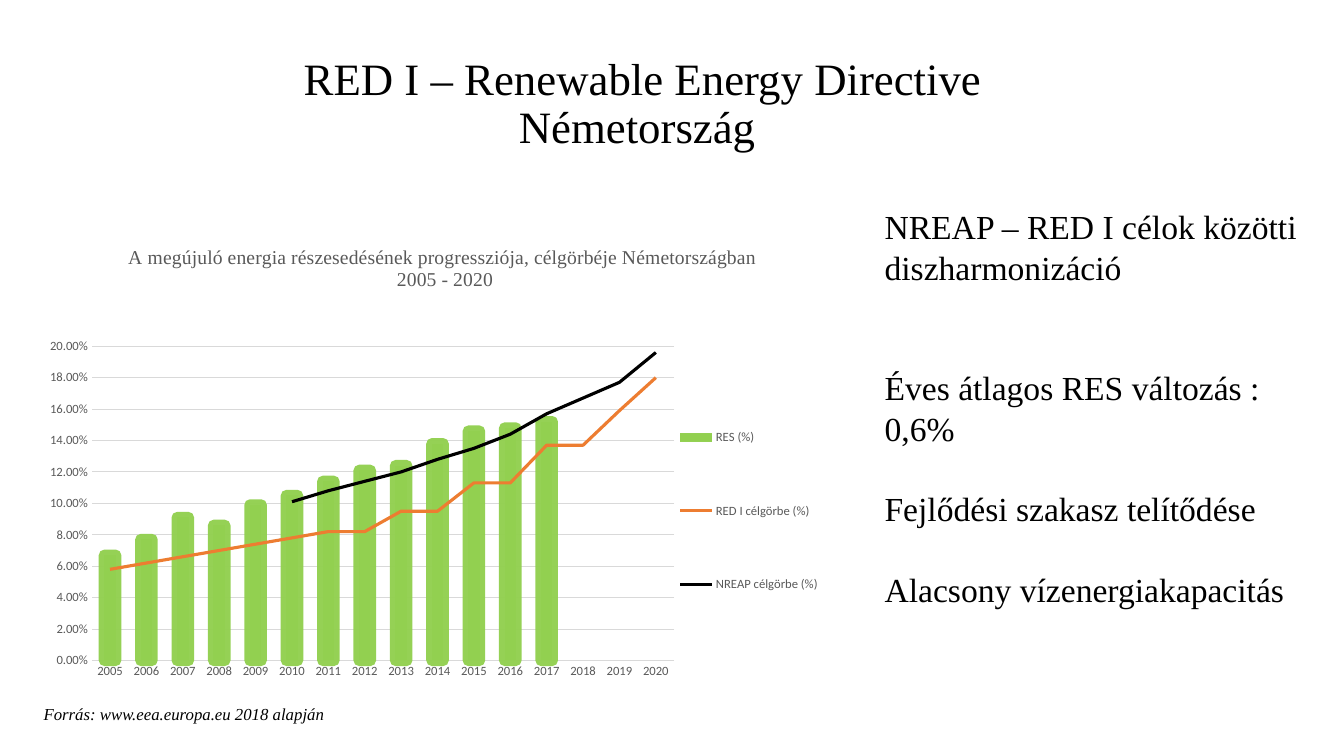
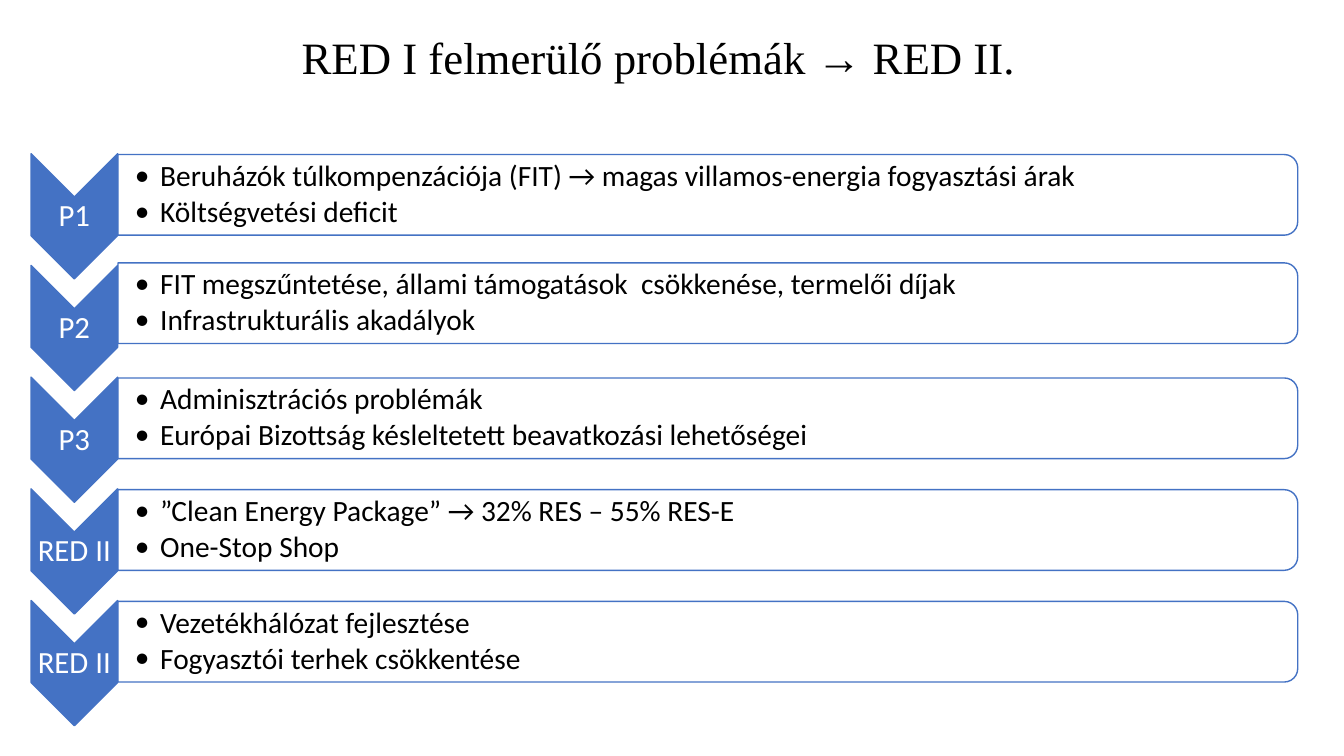
from dataclasses import dataclass

from lxml.etree import SubElement
from pptx import Presentation
from pptx.chart.data import CategoryChartData
from pptx.dml.color import RGBColor
from pptx.enum.chart import XL_CHART_TYPE, XL_LEGEND_POSITION, XL_MARKER_STYLE, XL_TICK_MARK
from pptx.enum.shapes import MSO_SHAPE
from pptx.enum.text import MSO_ANCHOR, MSO_AUTO_SIZE, PP_ALIGN
from pptx.oxml.ns import qn
from pptx.util import Inches, Pt


@dataclass(frozen=True)
class Theme:
    """Colours, fonts and type sizes of the deck."""
    ink: str = "000000"
    white: str = "FFFFFF"
    blue: str = "4472C4"
    green: str = "92D050"
    orange: str = "ED7D31"
    grey: str = "595959"
    rule: str = "D9D9D9"
    serif: str = "Times New Roman"
    sans: str = "Calibri"
    head: int = 32
    body: int = 24
    badge: int = 22
    item: int = 21
    label: int = 14
    note: int = 12
    tick: int = 9


class Deck:
    """Draws elements on the current slide, on a grid of 160 by 90 cells."""

    def __init__(self, theme):
        """Open an empty wide deck."""
        self.theme = theme
        self.show = Presentation()
        self.show.slide_width, self.show.slide_height = Inches(13.33), Inches(7.5)
        self.slide = None

    def grid(self, box):
        """Turn grid cells into lengths."""
        return [Inches(cell / 12) for cell in box]

    def font(self, font, size, color, name):
        """Set size, colour and typeface of a font."""
        font.size, font.name, font.bold = Pt(size), name, False
        font.color.rgb = RGBColor.from_string(color)

    def paint(self, shape, color, alpha=100):
        """Fill a shape, with opacity in percent."""
        shape.fill.solid()
        shape.fill.fore_color.rgb = RGBColor.from_string(color)
        if alpha < 100:
            self.fade(shape.element.xpath("./p:spPr/a:solidFill/a:srgbClr")[0], alpha)

    def fade(self, node, alpha):
        """Give a colour node its opacity."""
        SubElement(node, qn("a:alpha")).set("val", str(alpha * 1000))

    def stroke(self, line, color, width):
        """Set colour and width of a line."""
        line.color.rgb = RGBColor.from_string(color)
        line.width = Pt(width)

    def page(self, title, box, anchor):
        """Start a slide with its title."""
        self.slide = self.show.slides.add_slide(self.show.slide_layouts[5])
        head = self.slide.shapes.title
        head.left, head.top, head.width, head.height = self.grid(box)
        self.paint(head, self.theme.white, 85)
        frame = head.text_frame
        frame.text = title
        frame.auto_size = MSO_AUTO_SIZE.NONE
        frame.vertical_anchor = anchor
        para = frame.paragraphs[0]
        para.alignment, para.line_spacing = PP_ALIGN.CENTER, 0.9
        for run in para.runs:
            self.font(run.font, self.theme.head, self.theme.ink, self.theme.serif)

    def text(self, box, lines, size, color, name, inset=None, anchor=MSO_ANCHOR.TOP, back=None):
        """Add a text box, on a white ground of the given opacity, and return its frame."""
        shape = self.slide.shapes.add_textbox(*self.grid(box))
        if back:
            self.paint(shape, self.theme.white, back)
        frame = shape.text_frame
        frame.word_wrap = True
        frame.vertical_anchor = anchor
        if inset:
            frame.margin_left, frame.margin_top = Inches(inset[0]), Inches(inset[1])
            frame.margin_right = frame.margin_bottom = Inches(inset[1])
        frame.text = "\n".join(lines)
        for para in frame.paragraphs:
            for run in para.runs:
                self.font(run.font, size, color, name)
        return frame

    def notes(self, box, items):
        """Add remarks, each with a gap in lines before it."""
        theme = self.theme
        frame = self.text(box, [line for line, _ in items], theme.body, theme.ink,
                          theme.serif, back=85)
        for para, (_, gap) in zip(frame.paragraphs, items):
            para.space_before = Pt(gap * theme.body * 1.2)

    def source(self, box, line):
        """Add a source line in italics."""
        theme = self.theme
        frame = self.text(box, [line], theme.note, theme.ink, theme.serif, back=100)
        frame.paragraphs[0].runs[0].font.italic = True

    def turn(self, kind, box, fill, alpha=100):
        """Add a shape turned by a quarter that covers the box."""
        left, top, wide, high = box
        shift = (wide - high) / 2
        shape = self.slide.shapes.add_shape(
            kind, *self.grid((left + shift, top - shift, high, wide)))
        shape.rotation = 90
        shape.shadow.inherit = False
        self.paint(shape, fill, alpha)
        self.stroke(shape.line, self.theme.blue, 1)

    def step(self, top, name, items, lift=0):
        """Add a chevron with its panel of bullets, which may be lifted."""
        theme = self.theme
        self.turn(MSO_SHAPE.CHEVRON, (3.7, top - 0.1, 10.3, 14.9), theme.blue)
        badge = self.text((3.7, top + 5.2, 10.3, 4.4), [name], theme.badge, theme.white,
                          theme.sans, (0.02, 0.02), MSO_ANCHOR.MIDDLE)
        badge.paragraphs[0].alignment = PP_ALIGN.CENTER
        badge.paragraphs[0].line_spacing = 0.9
        top -= lift
        self.turn(MSO_SHAPE.ROUND_2_SAME_RECTANGLE, (14.05, top, 140.4, 9.6), theme.white, 90)
        frame = self.text((14.15, top + 0.5, 139.9, 8.6), items, theme.item, theme.ink,
                          theme.sans, (0.16, 0.01), MSO_ANCHOR.MIDDLE)
        for para in frame.paragraphs:
            para.line_spacing, para.space_after = 0.9, Pt(3)
            props = para._p.get_or_add_pPr()
            props.set("marL", str(Inches(0.25)))
            props.set("indent", str(-Inches(0.25)))
            SubElement(props, qn("a:buFont")).set("typeface", theme.sans)
            SubElement(props, qn("a:buChar")).set("char", "•")

    def place(self, node, index, inner=False, **parts):
        """Give a chart part a manual layout in shares of the chart."""
        for old in node.findall(qn("c:layout")):
            node.remove(old)
        layout = node.makeelement(qn("c:layout"))
        node.insert(index, layout)
        manual = SubElement(layout, qn("c:manualLayout"))
        if inner:
            SubElement(manual, qn("c:layoutTarget")).set("val", "inner")
        for key in ("x", "y"):
            SubElement(manual, qn(f"c:{key}Mode")).set("val", "edge")
        for key, share in parts.items():
            SubElement(manual, qn(f"c:{key}")).set("val", str(share))

    def split(self, area):
        """Move all series but the first from the bars to a line plot."""
        bars = area.find(qn("c:barChart"))
        lines = area.makeelement(qn("c:lineChart"))
        bars.addnext(lines)
        SubElement(lines, qn("c:grouping")).set("val", "standard")
        SubElement(lines, qn("c:varyColors")).set("val", "0")
        for series in bars.findall(qn("c:ser"))[1:]:
            for flag in series.findall(qn("c:invertIfNegative")):
                series.remove(flag)
            lines.append(series)
        SubElement(lines, qn("c:marker")).set("val", "1")
        for axis in bars.findall(qn("c:axId")):
            SubElement(lines, qn("c:axId")).set("val", axis.get("val"))

    def chart(self, box, title, years, rows):
        """Add a chart of one bar series and two lines."""
        theme = self.theme
        data = CategoryChartData(number_format="0.00%")
        data.categories = years
        for name, values in rows:
            data.add_series(name, values)
        chart = self.slide.shapes.add_chart(
            XL_CHART_TYPE.COLUMN_CLUSTERED, *self.grid(box), data).chart
        self.font(chart.font, 10, theme.ink, theme.sans)
        area = chart.element.xpath("./c:chart/c:plotArea")[0]
        self.split(area)
        self.place(area, 0, True, x=0.07, y=0.29, w=0.7, h=0.63)
        self.bars(chart.plots[0])
        for series, color in zip(chart.plots[1].series, (theme.orange, theme.ink)):
            self.stroke(series.format.line, color, 2.25)
            series.marker.style = XL_MARKER_STYLE.NONE
            series.smooth = False
        self.axes(chart)
        chart.has_legend = True
        legend = chart.legend
        legend.position = XL_LEGEND_POSITION.RIGHT
        legend.include_in_layout = False
        self.font(legend.font, theme.tick, theme.grey, theme.sans)
        self.place(chart.element.xpath("./c:chart/c:legend")[0], 1, x=0.76, y=0.34, w=0.2, h=0.56)
        chart.has_title = True
        chart.chart_title.include_in_layout = False
        frame = chart.chart_title.text_frame
        frame.text = title
        for para in frame.paragraphs:
            para.alignment = PP_ALIGN.CENTER
            self.font(para.runs[0].font, theme.label, theme.grey, theme.serif)
        self.place(chart.element.xpath("./c:chart/c:title")[0], 1, x=0.11, y=0.08)

    def bars(self, plot):
        """Style the bars with wide round edges."""
        plot.gap_width, plot.overlap = 219, -27
        plot.vary_by_categories = False
        series = plot.series[0]
        look = series.format
        look.fill.solid()
        look.fill.fore_color.rgb = RGBColor.from_string(self.theme.green)
        self.stroke(look.line, self.theme.green, 8)
        edge = series._element.xpath("./c:spPr/a:ln")[0]
        self.fade(edge.xpath("./a:solidFill/a:srgbClr")[0], 97)
        SubElement(edge, qn("a:round"))

    def axes(self, chart):
        """Style both axes and the grid lines."""
        theme = self.theme
        for axis in (chart.category_axis, chart.value_axis):
            axis.major_tick_mark = axis.minor_tick_mark = XL_TICK_MARK.NONE
            self.font(axis.tick_labels.font, theme.tick, theme.grey, theme.sans)
        self.stroke(chart.category_axis.format.line, theme.rule, 0.75)
        value = chart.value_axis
        value.minimum_scale, value.maximum_scale, value.major_unit = 0, 0.2, 0.02
        value.tick_labels.number_format = "0.00%"
        value.tick_labels.number_format_is_linked = False
        value.format.line.fill.background()
        value.has_major_gridlines = True
        self.stroke(value.major_gridlines.format.line, theme.rule, 0.75)


deck = Deck(Theme())

deck.page("RED I – Renewable Energy Directive\vNémetország ", (4, 4.8, 145, 15.4),
          MSO_ANCHOR.MIDDLE)
share = [0.067, 0.077, 0.091, 0.086, 0.099, 0.105, 0.114, 0.121, 0.124, 0.138, 0.146,
         0.148, 0.152] + [None] * 3
target = [0.058, 0.062, 0.066, 0.07, 0.074, 0.078, 0.082, 0.082, 0.095, 0.095, 0.113,
          0.113, 0.137, 0.137, 0.159, 0.18]
plan = [None] * 5 + [0.101, 0.108, 0.114, 0.12, 0.128, 0.135, 0.144, 0.157, 0.167,
                     0.177, 0.196]
deck.chart(
    (4, 24, 99, 59.4),
    "A megújuló energia részesedésének progressziója, célgörbéje Németországban \n2005 - 2020",
    [str(year) for year in range(2005, 2021)],
    [("RES (%) ", share), ("RED I célgörbe (%)", target), ("NREAP célgörbe (%)", plan)])
deck.notes((104.1, 23.95, 53.4, 49.7), [
    ("NREAP – RED I célok közötti diszharmonizáció", 0),
    ("Éves átlagos RES változás : 0,6% ", 2),
    ("Fejlődési szakasz telítődése ", 1),
    ("Alacsony vízenergiakapacitás ", 1)])
deck.source((4, 83.2, 99, 3.6), "Forrás: www.eea.europa.eu 2018 alapján ")

deck.page("RED I felmerülő problémák → RED II. ", (3.7, 3.6, 150.7, 12.7), MSO_ANCHOR.TOP)
steps = [
    ("P1", ["Beruházók túlkompenzációja (FIT) → magas villamos-energia fogyasztási árak ",
            "Költségvetési deficit"]),
    ("P2", ["FIT megszűntetése, állami támogatások  csökkenése, termelői díjak",
            "Infrastrukturális akadályok "]),
    ("P3", ["Adminisztrációs problémák ",
            "Európai Bizottság késleltetett beavatkozási lehetőségei"]),
    ("RED II", ["”Clean Energy Package” → 32% RES – 55% RES-E ", "One-Stop Shop "]),
    ("RED II", ["Vezetékhálózat fejlesztése", "Fogyasztói terhek csökkentése "]),
]
for row, (name, items) in enumerate(steps):
    deck.step(18.4 + 13.3 * row, name, items, 0.4 if name == "P2" else 0)

deck.show.save("out.pptx")
